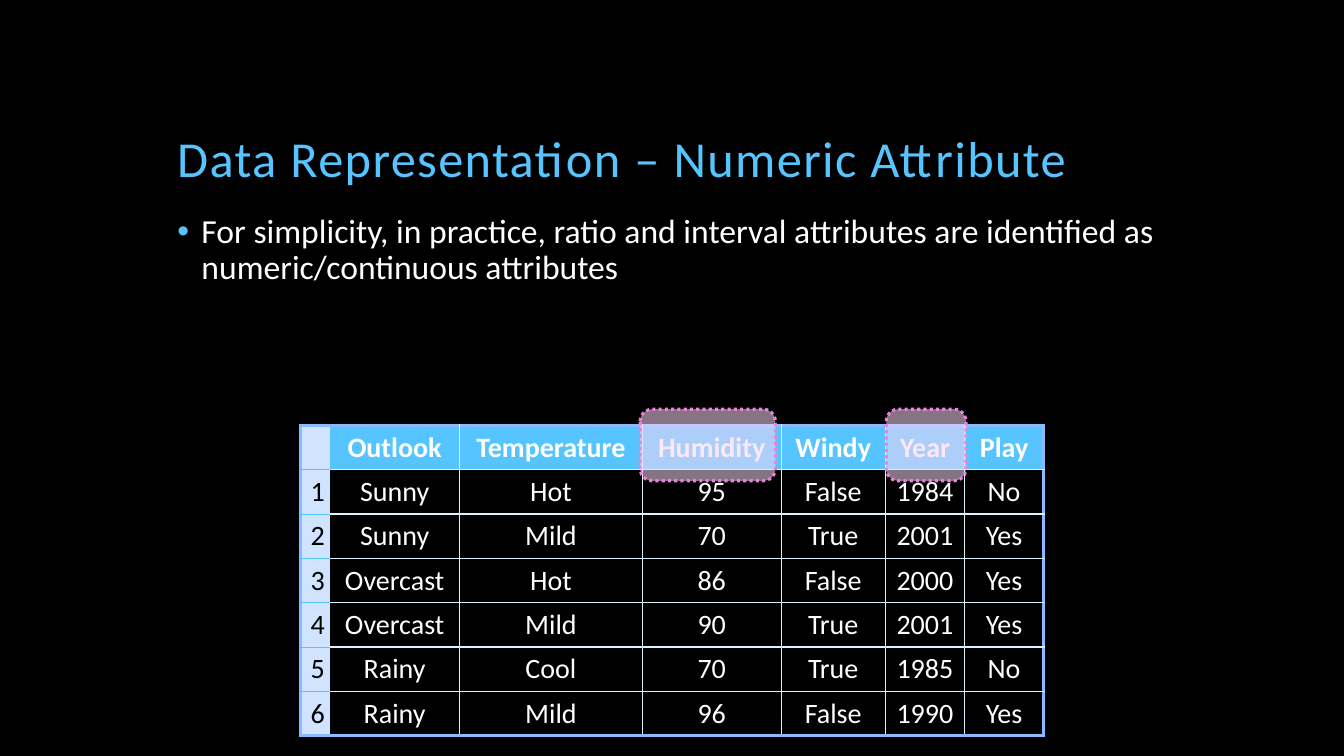
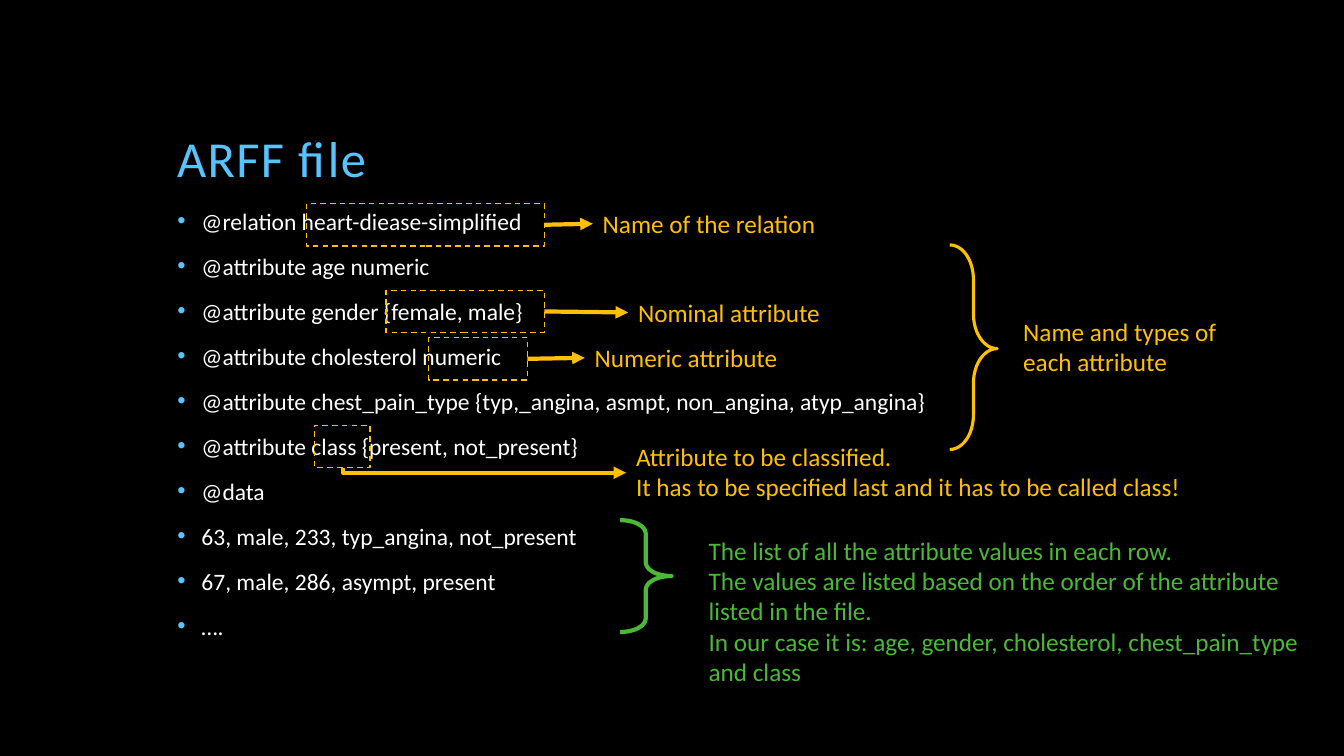
"""Two slides on data representation: numeric attributes and the ARFF file."""
from lxml import etree
from pptx import Presentation
from pptx.dml.color import RGBColor
from pptx.enum.dml import MSO_LINE
from pptx.enum.shapes import MSO_CONNECTOR, MSO_SHAPE
from pptx.enum.text import MSO_ANCHOR, MSO_AUTO_SIZE, PP_ALIGN
from pptx.oxml.ns import qn
from pptx.util import Inches, Pt

RECT, ROUND_RECT, BRACE = MSO_SHAPE.RECTANGLE, MSO_SHAPE.ROUNDED_RECTANGLE, MSO_SHAPE.RIGHT_BRACE
STRAIGHT, ELBOW = MSO_CONNECTOR.STRAIGHT, MSO_CONNECTOR.ELBOW
DASH, DOT = MSO_LINE.DASH, MSO_LINE.ROUND_DOT
BOTTOM, CENTER, GROW = MSO_ANCHOR.BOTTOM, PP_ALIGN.CENTER, MSO_AUTO_SIZE.SHAPE_TO_FIT_TEXT

FONT = "Calibri"
BLACK = RGBColor(0x00, 0x00, 0x00)
WHITE = RGBColor(0xFF, 0xFF, 0xFF)
SKY = RGBColor(0x56, 0xC5, 0xFF)
PALE = RGBColor(0xD0, 0xE3, 0xFF)
FRAME = RGBColor(0x89, 0xBA, 0xFF)
GRID = RGBColor(0xDD, 0xF3, 0xFF)
PINK = RGBColor(0xF8, 0xD6, 0xF4)
MAGENTA = RGBColor(0xE9, 0x83, 0xDD)
AMBER = RGBColor(0xFF, 0xC0, 0x00)
GREEN = RGBColor(0x4B, 0xB8, 0x36)

SLIDE_W, SLIDE_H = 13.33, 7.5
TITLE_BOX = (1.66, 0.42, 10, 1.5)
BODY_BOX = (1.66, 2.08, 9.99, 4.5)
INDENT = 0.24

NUMERIC_TEXT = ["For simplicity, in practice, ratio and interval attributes are identified as "
                "numeric/continuous attributes"]
WEATHER = [
    ("", "Outlook", "Temperature", "Humidity", "Windy", "Year", "Play"),
    ("1", "Sunny", "Hot", "95", "False", "1984", "No"),
    ("2", "Sunny", "Mild", "70", "True", "2001", "Yes"),
    ("3", "Overcast", "Hot", "86", "False", "2000", "Yes"),
    ("4", "Overcast", "Mild", "90", "True", "2001", "Yes"),
    ("5", "Rainy", "Cool", "70", "True", "1985", "No"),
    ("6", "Rainy", "Mild", "96", "False", "1990", "Yes"),
]
TABLE_AT = (2.98, 4.22)
COL_WIDTHS = (0.29, 1.29, 1.81, 1.38, 1.03, 0.79, 0.78)
ROW_H = 0.44
HIGHLIGHTS = [(6.35, 4.06, 1.34, 0.71), (8.79, 4.06, 0.79, 0.71)]

ARFF_LINES = [
    "@relation heart-diease-simplified",
    "@attribute age numeric",
    "@attribute gender {female, male}",
    "@attribute cholesterol numeric",
    "@attribute chest_pain_type {typ,_angina, asmpt, non_angina, atyp_angina}",
    "@attribute class {present, not_present}",
    "@data",
    "63, male, 233, typ_angina, not_present",
    "67, male, 286, asympt, present",
    "….",
]
MARK_H, LABEL_H = 0.42, 0.4
CALLOUTS = [
    ("Name of the relation", (3.04, 2.02, 2.36), (5.88, 2.02, 2.36)),
    ("Nominal attribute", (3.83, 2.88, 1.57), (6.23, 2.9, 2.07)),
    ("Numeric attribute", (4.25, 3.35, 0.98), (5.8, 3.35, 2.07)),
]
CLASS_MARK = (3.12, 4.22, 0.55, MARK_H)
CLASS_ARROW = (4.83, 3.26, 4.78, 6.07)
NOTES = [
    (AMBER, (10.05, 3.09, 2.18, 0.71), ["Name and types of each attribute"]),
    (AMBER, (6.21, 4.33, 5.89, 0.71), [
        "Attribute to be classified.",
        "It has to be specified last and it has to be called class!"]),
    (GREEN, (6.93, 5.26, 6.19, 1.62), [
        "The list of all the attribute values in each row.",
        "The values are listed based on the order of the attribute listed in the file.",
        "In our case it is: age, gender, cholesterol, chest_pain_type and class"]),
]
BRACES = [
    (AMBER, 2.25, (9.42, 2.43, 0.47, 2.03), (0.729, 0.507)),
    (GREEN, 3, (6.15, 5.16, 0.51, 1.11), (0.26, 0.5)),
]


def inches(values):
    return [Inches(v) for v in values]


def sub(parent, tag, **attrs):
    return etree.SubElement(parent, qn(tag), attrs)


def style(p, size, color, bold=False):
    for r in p.runs:
        r.font.name, r.font.size, r.font.bold = FONT, Pt(size), bold
        r.font.color.rgb = color


def add_text(s, box, lines, size, color, wrap=True):
    sp = s.shapes.add_textbox(*inches(box))
    tf = sp.text_frame
    tf.word_wrap = wrap
    tf.text = "\n".join(lines)
    for p in tf.paragraphs:
        style(p, size, color)
    return sp


def add_slide(prs, title, lines, size, spacing):
    s = prs.slides.add_slide(prs.slide_layouts[6])
    s.background.fill.solid()
    s.background.fill.fore_color.rgb = BLACK
    tf = add_text(s, TITLE_BOX, [title], 36, SKY).text_frame
    tf.vertical_anchor = BOTTOM
    tf.paragraphs[0].line_spacing = 0.9
    tf.paragraphs[0].runs[0].font._element.set("spc", "100")
    for p in add_text(s, BODY_BOX, lines, size, WHITE).text_frame.paragraphs:
        p.line_spacing, p.space_before = spacing, Pt(18)
        pPr = p._p.get_or_add_pPr()
        pPr.set("marL", str(Inches(INDENT)))
        pPr.set("indent", str(-Inches(INDENT)))
        sub(sub(pPr, "a:buClr"), "a:srgbClr", val=str(SKY))
        sub(pPr, "a:buFont", typeface="Arial")
        sub(pPr, "a:buChar", char="•")
    return s


def add_outline(s, kind, box, color, width, dash=None):
    sp = s.shapes.add_shape(kind, *inches(box))
    sp.shadow.inherit = False
    sp.fill.background()
    sp.line.color.rgb, sp.line.width = color, Pt(width)
    if dash:
        sp.line.dash_style = dash
    return sp


def add_arrow(s, kind, ends):
    line = s.shapes.add_connector(kind, *inches(ends))
    line.line.color.rgb, line.line.width = AMBER, Pt(3)
    sub(line.line._get_or_add_ln(), "a:tailEnd", type="triangle")
    sub(line._element.spPr, "a:effectLst")
    return line


def set_borders(cell, row, col):
    last_row, last_col = len(WEATHER) - 1, len(COL_WIDTHS) - 1
    outer = (FRAME, 2.25)
    across = (SKY, 0.5) if col == 0 else (GRID, 1)
    edges = {
        "a:lnL": outer if col == 0 else None if col == 1 else (GRID, 1),
        "a:lnR": outer if col == last_col else None if col == 0 else (GRID, 1),
        "a:lnT": outer if row == 0 else across,
        "a:lnB": outer if row == last_row else across,
    }
    tcPr = cell._tc.get_or_add_tcPr()
    for tag, edge in edges.items():
        if edge:
            ln = sub(tcPr, tag, w=str(Pt(edge[1])))
            sub(sub(ln, "a:solidFill"), "a:srgbClr", val=str(edge[0]))
        else:
            sub(sub(tcPr, tag, w="0"), "a:noFill")


def add_weather_table(s):
    size = (sum(COL_WIDTHS), ROW_H * len(WEATHER))
    table = s.shapes.add_table(len(WEATHER), len(COL_WIDTHS), *inches(TABLE_AT + size)).table
    table.first_row = table.horz_banding = False
    for column, width in zip(table.columns, COL_WIDTHS):
        column.width = Inches(width)
    for i, values in enumerate(WEATHER):
        table.rows[i].height = Inches(ROW_H)
        for j, value in enumerate(values):
            cell = table.cell(i, j)
            set_borders(cell, i, j)
            fill = PALE if j == 0 else SKY if i == 0 else None
            if fill:
                cell.fill.solid()
                cell.fill.fore_color.rgb = fill
            else:
                cell.fill.background()
            p = cell.text_frame.paragraphs[0]
            p.text, p.alignment = value, CENTER
            style(p, 20, BLACK if j == 0 else WHITE, bold=i == 0)


def build_numeric(prs):
    s = add_slide(prs, "Data Representation – Numeric Attribute", NUMERIC_TEXT, 24, 0.9)
    add_weather_table(s)
    for box in HIGHLIGHTS:
        sp = add_outline(s, ROUND_RECT, box, MAGENTA, 2.25, DOT)
        sp.fill.solid()
        sp.fill.fore_color.rgb = PINK
        sub(sp._element.spPr.find(".//" + qn("a:srgbClr")), "a:alpha", val="54000")


def build_arff(prs):
    s = add_slide(prs, "ARFF file", ARFF_LINES, 16.8, 0.7)
    for text, mark_at, label_at in CALLOUTS:
        mark = add_outline(s, RECT, mark_at + (MARK_H,), AMBER, 1, DASH)
        label = add_text(s, label_at + (LABEL_H,), [text], 18, AMBER, wrap=False)
        label.text_frame.auto_size = GROW
        arrow = add_arrow(s, STRAIGHT, (0, 0, 1, 1))
        arrow.begin_connect(mark, 3)
        arrow.end_connect(label, 1)
    add_outline(s, RECT, CLASS_MARK, AMBER, 1, DASH)
    elbow = add_arrow(s, ELBOW, CLASS_ARROW)._element.spPr
    elbow.find(qn("a:xfrm")).set("rot", str(270 * 60000))
    elbow.find(qn("a:prstGeom")).set("prst", "bentConnector2")
    for color, box, lines in NOTES:
        add_text(s, box, lines, 18, color).text_frame.auto_size = GROW
    for color, width, box, (curl, tip) in BRACES:
        brace = add_outline(s, BRACE, box, color, width)
        brace.adjustments[0], brace.adjustments[1] = curl, tip


def main():
    prs = Presentation()
    prs.slide_width, prs.slide_height = inches((SLIDE_W, SLIDE_H))
    build_numeric(prs)
    build_arff(prs)
    prs.save("out.pptx")


if __name__ == "__main__":
    main()
